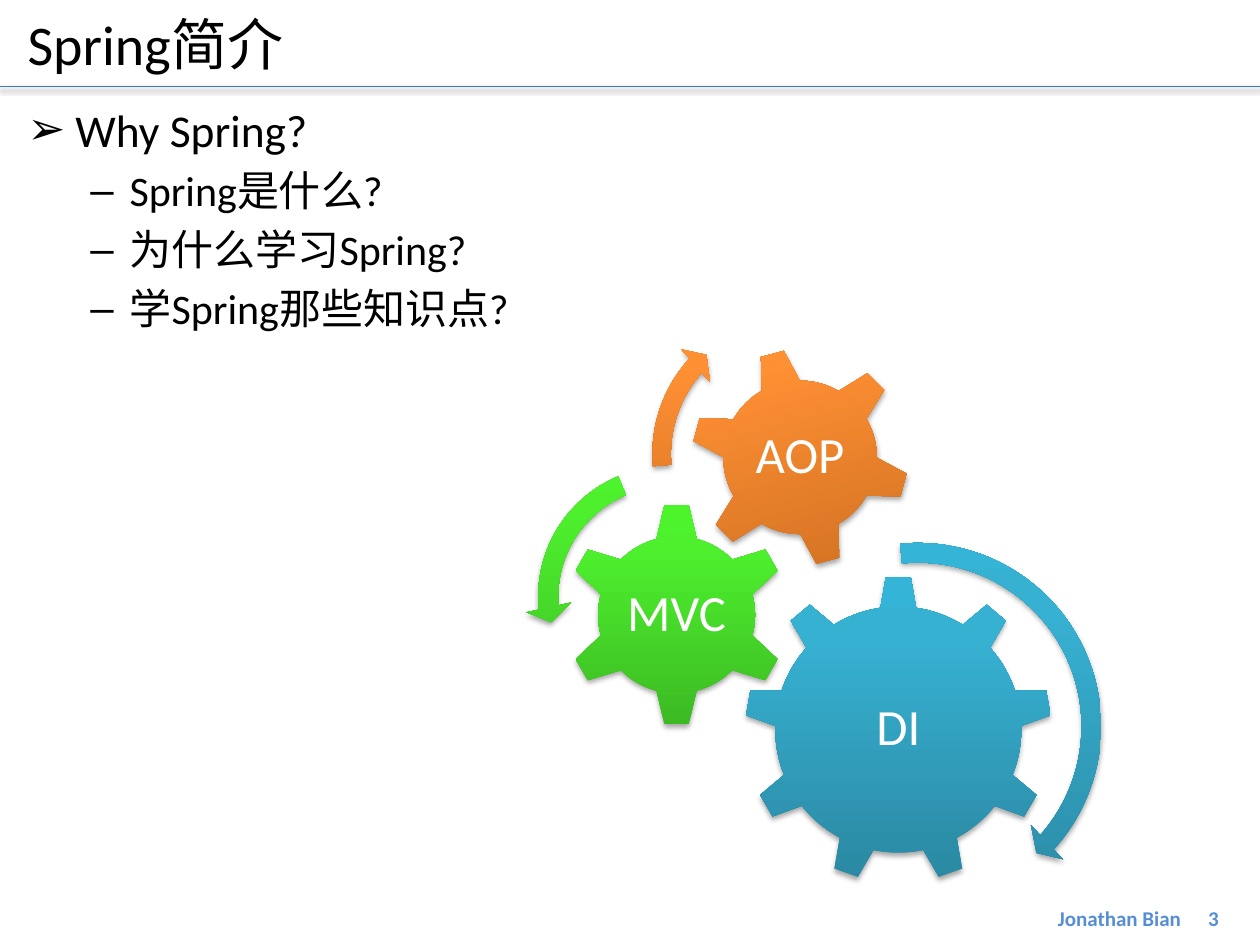
from copy import deepcopy
from dataclasses import dataclass

from lxml import etree
from pptx import Presentation
from pptx.dml.color import RGBColor
from pptx.enum.shapes import MSO_SHAPE
from pptx.enum.text import MSO_ANCHOR, PP_ALIGN
from pptx.oxml.ns import qn
from pptx.util import Inches, Pt

RECT = MSO_SHAPE.RECTANGLE
GEAR_6, GEAR_9 = MSO_SHAPE.GEAR_6, MSO_SHAPE.GEAR_9
ARROW, LEFT_ARROW = MSO_SHAPE.CIRCULAR_ARROW, MSO_SHAPE.LEFT_CIRCULAR_ARROW
CENTER, MIDDLE = PP_ALIGN.CENTER, MSO_ANCHOR.MIDDLE

# Grid of 100 columns by 75 rows
CELL = Inches(0.1)
COLS, ROWS = 100, 75


@dataclass(frozen=True)
class Theme:
    font: str = "Calibri"
    ink: str = "000000"
    light: str = "FFFFFF"
    footer: str = "558ED5"
    # Gradients: colours at 0, 80 and 100 percent, bottom to top
    rule: tuple = ("2F5F99", "3D7CC7", "3A7CCB")
    blue: tuple = ("2A88A2", "37B1D2", "34B4D6")
    green: tuple = ("3CB923", "4EF02E", "4CF52A")
    orange: tuple = ("CC6E20", "FF9034", "FF9136")
    title_size: int = 32
    body_sizes: tuple = (26, 24)
    gear_size: int = 29
    footer_size: int = 12


THEME = Theme()

# Per level: bullet, left margin and first-line indent in cells
LEVELS = (("➢", 3.8, -3.8), ("–", 8.1, -3.1))

BODY = (
    (0, "Why Spring?"),
    (1, "Spring是什么?"),
    (1, "为什么学习Spring?"),
    (1, "学Spring那些知识点?"),
)

# Label, gradient, gear kind, centre, diameter, rotation, label width and height
GEARS = (
    ("DI", THEME.blue, GEAR_9, (71.3, 57.9), 24.4, 0, (14.6, 12.6)),
    ("MVC", THEME.green, GEAR_6, (53.7, 48.8), 17.8, 0, (8.8, 8.8)),
    ("AOP", THEME.orange, GEAR_6, (63.5, 36.3), 17.4, 345, (9.8, 9.8)),
)

# Gradient, arrow kind, centre, diameter, adjustments
ARROWS = (
    (THEME.blue, ARROW, (72.85, 57.65), 31.3, (0.05, 2.99, 25.13, 158.68, 0.06)),
    (THEME.green, LEFT_ARROW, (53.05, 47.35), 22.7, (0.07, 4.3, 104.89, 148.38, 0.08)),
    (THEME.orange, ARROW, (63.05, 36.05), 24.5, (0.06, 3.94, 133.14, 105.08, 0.07)),
)


def cells(*values):
    return [round(v * CELL) for v in values]


def around(center, w, h):
    return center[0] - w / 2, center[1] - h / 2, w, h


def set_attrs(obj, values):
    for name, value in values.items():
        setattr(obj, name, value)


def add_shadow(sp):
    effects = etree.SubElement(sp._element.spPr, qn("a:effectLst"))
    shadow = etree.SubElement(effects, qn("a:outerShdw"), blurRad=str(Pt(3.1)),
                              dist=str(Pt(1.8)), dir="5400000", rotWithShape="0")
    color = etree.SubElement(shadow, qn("a:srgbClr"), val=THEME.ink)
    etree.SubElement(color, qn("a:alpha"), val="35000")


def add_solid(slide, kind, box, colors, rotation=0, adjustments=()):
    """Preset shape with a three-stop gradient and a soft shadow."""
    sp = slide.shapes.add_shape(kind, *cells(*box))
    sp.rotation = rotation
    for i, value in enumerate(adjustments):
        sp.adjustments[i] = value
    sp.fill.gradient()
    sp.fill.gradient_angle = 90
    stops = sp._element.spPr.find(".//" + qn("a:gsLst"))
    stops.append(deepcopy(stops[-1]))
    for stop, position, color in zip(sp.fill.gradient_stops, (0, 0.8, 1), colors):
        stop.position = position
        stop.color.rgb = RGBColor.from_string(color)
    sp.line.fill.background()
    add_shadow(sp)
    return sp


def add_frame(slide, box, wrap=True, **frame_format):
    tf = slide.shapes.add_textbox(*cells(*box)).text_frame
    tf.word_wrap = wrap
    set_attrs(tf, frame_format)
    return tf


def write(p, text, size, color, bold=False, **paragraph_format):
    r = p.add_run()
    r.text = text
    set_attrs(r.font, {"name": THEME.font, "size": Pt(size), "bold": bold})
    r.font.color.rgb = RGBColor.from_string(color)
    set_attrs(p, paragraph_format)


def set_bullet(p, char, margin, indent):
    pPr = p._p.get_or_add_pPr()
    pPr.set("marL", str(round(margin * CELL)))
    pPr.set("indent", str(round(indent * CELL)))
    etree.SubElement(pPr, qn("a:buFont"), typeface="Arial")
    etree.SubElement(pPr, qn("a:buChar"), char=char)


def add_body(slide):
    tf = add_frame(slide, (1.2, 7.6, 97.6, 63.8))
    for i, (level, text) in enumerate(BODY):
        p = tf.add_paragraph() if i else tf.paragraphs[0]
        size = THEME.body_sizes[level]
        write(p, text, size, THEME.ink, level=level, space_before=Pt(0.2 * size))
        set_bullet(p, *LEVELS[level])


def add_gear(slide, label, colors, kind, center, diameter, rotation, label_size):
    add_solid(slide, kind, around(center, diameter, diameter), colors, rotation)
    sides = ("left", "top", "right", "bottom")
    margins = {f"margin_{side}": Inches(0.04) for side in sides}
    tf = add_frame(slide, around(center, *label_size),
                   vertical_anchor=MIDDLE, **margins)
    write(tf.paragraphs[0], label, THEME.gear_size, THEME.light,
          alignment=CENTER, line_spacing=0.9)


def add_footer(slide):
    author = add_frame(slide, (82.9, 71.4, 11.9, 3), wrap=False)
    write(author.paragraphs[0], "Jonathan Bian", THEME.footer_size,
          THEME.footer, bold=True, alignment=CENTER)
    number = add_frame(slide, (94.9, 71.4, 4.7, 2.8))
    write(number.paragraphs[0], "3", THEME.footer_size, THEME.footer, bold=True)


def main():
    prs = Presentation()
    prs.slide_width, prs.slide_height = cells(COLS, ROWS)
    slide = prs.slides.add_slide(prs.slide_layouts[6])

    # Heading and rule
    add_solid(slide, RECT, (0, 6.8, COLS, 0.1), THEME.rule)
    title = add_frame(slide, (1.2, 0, 96.9, 6.8), vertical_anchor=MIDDLE)
    write(title.paragraphs[0], "Spring简介", THEME.title_size, THEME.ink)

    # Bulleted text and footer
    add_body(slide)
    add_footer(slide)

    # Gears, then the arrows turning round them
    for gear in GEARS:
        add_gear(slide, *gear)
    for colors, kind, center, diameter, adjustments in ARROWS:
        add_solid(slide, kind, around(center, diameter, diameter), colors,
                  adjustments=adjustments)

    prs.save("out.pptx")


if __name__ == "__main__":
    main()
